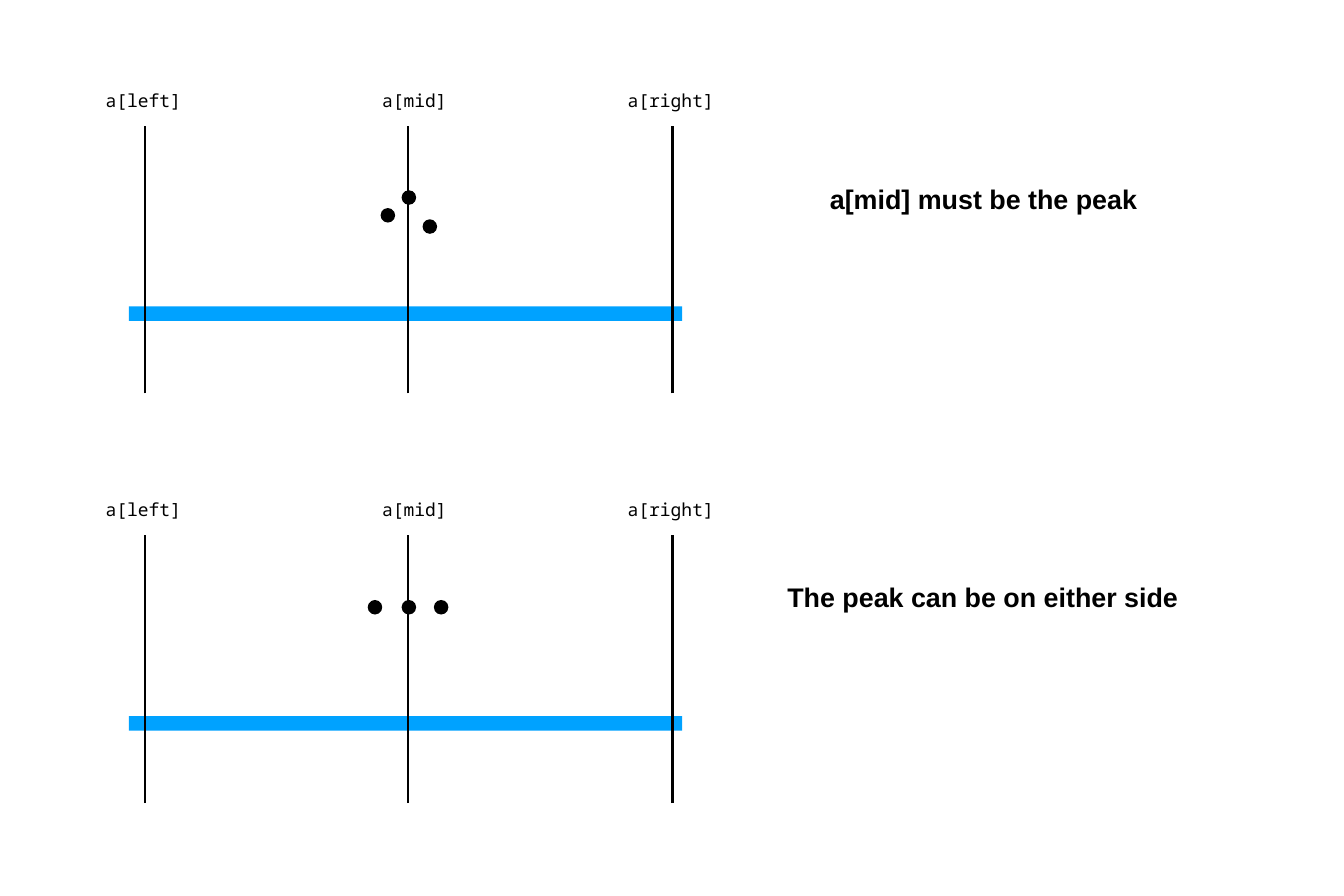
from pptx import Presentation
from pptx.dml.color import RGBColor
from pptx.enum.shapes import MSO_CONNECTOR, MSO_SHAPE
from pptx.enum.text import MSO_ANCHOR, MSO_AUTO_SIZE, PP_ALIGN
from pptx.oxml.ns import qn
from pptx.util import Inches, Pt
from lxml.etree import SubElement

COLORS = {"ink": "000000", "bar": "00A2FF", "paper": "FFFFFF"}
SLIDE_SIZE = (25 / 3, 50 / 9)
DOT = 0.09
PANEL_STEP = 2.54
# Label left edge and line position for each array index
MARKERS = {"a[mid]": (2.24, 2.53), "a[left]": (0.56, 0.9), "a[right]": (3.83, 4.17)}
# Each panel: dot corners, then caption text and box
PANELS = [
    ([(2.36, 1.29), (2.49, 1.18), (2.62, 1.36)],
     "a[mid] must be the peak", (5.1, 1.1, 2, 0.26)),
    ([(2.28, 3.72), (2.49, 3.72), (2.69, 3.72)],
     "The peak can be on either side", (4.84, 3.57, 2.51, 0.26)),
]


class Diagram:
    def __init__(self, prs):
        self.slide = prs.slides.add_slide(prs.slide_layouts[6])
        fill = self.slide.background.fill
        fill.solid()
        fill.fore_color.rgb = self.color("paper")

    def color(self, name):
        return RGBColor.from_string(COLORS[name])

    def shape(self, kind, box, color):
        sp = self.slide.shapes.add_shape(kind, *map(Inches, box))
        sp.shadow.inherit = False
        sp.fill.solid()
        sp.fill.fore_color.rgb = self.color(color)
        sp.line.fill.background()

    def vertical(self, x, bottom, top):
        line = self.slide.shapes.add_connector(
            MSO_CONNECTOR.STRAIGHT, *map(Inches, (x, bottom, x, top)))
        line.line.color.rgb = self.color("ink")
        line.line.width = Pt(1)
        SubElement(line._element.spPr, qn("a:effectLst"))

    def text(self, words, box, size, font, bold=False, wrap=True):
        tf = self.slide.shapes.add_textbox(*map(Inches, box)).text_frame
        tf.word_wrap = wrap
        tf.auto_size = MSO_AUTO_SIZE.NONE if wrap else MSO_AUTO_SIZE.SHAPE_TO_FIT_TEXT
        tf.vertical_anchor = MSO_ANCHOR.MIDDLE
        tf.margin_left = tf.margin_right = Inches(0.03)
        tf.margin_top = tf.margin_bottom = Inches(0.03)
        p = tf.paragraphs[0]
        p.alignment = PP_ALIGN.CENTER
        r = p.add_run()
        r.text = words
        r.font.size = Pt(size)
        r.font.name = font
        r.font.bold = bold
        r.font.color.rgb = self.color("ink")

    def panel(self, dy, dots, caption, caption_box):
        """Draw one array range, moved down by dy, with its dots and caption."""
        self.shape(MSO_SHAPE.RECTANGLE, (0.8, 1.9 + dy, 3.43, 0.09), "bar")
        for _, x in MARKERS.values():
            self.vertical(x, 2.44 + dy, 0.78 + dy)
        for x, y in dots:
            self.shape(MSO_SHAPE.OVAL, (x, y, DOT, DOT), "ink")
        for label, (left, _) in MARKERS.items():
            self.text(label, (left, 0.47 + dy, 0.66, 0.3), 8, "Noto Sans Mono")
        self.text(caption, caption_box, 12, "Arial", bold=True, wrap=False)


def main():
    prs = Presentation()
    prs.slide_width, prs.slide_height = map(Inches, SLIDE_SIZE)
    diagram = Diagram(prs)
    for i, (dots, caption, box) in enumerate(PANELS):
        diagram.panel(i * PANEL_STEP, dots, caption, box)
    prs.save("out.pptx")


if __name__ == "__main__":
    main()
